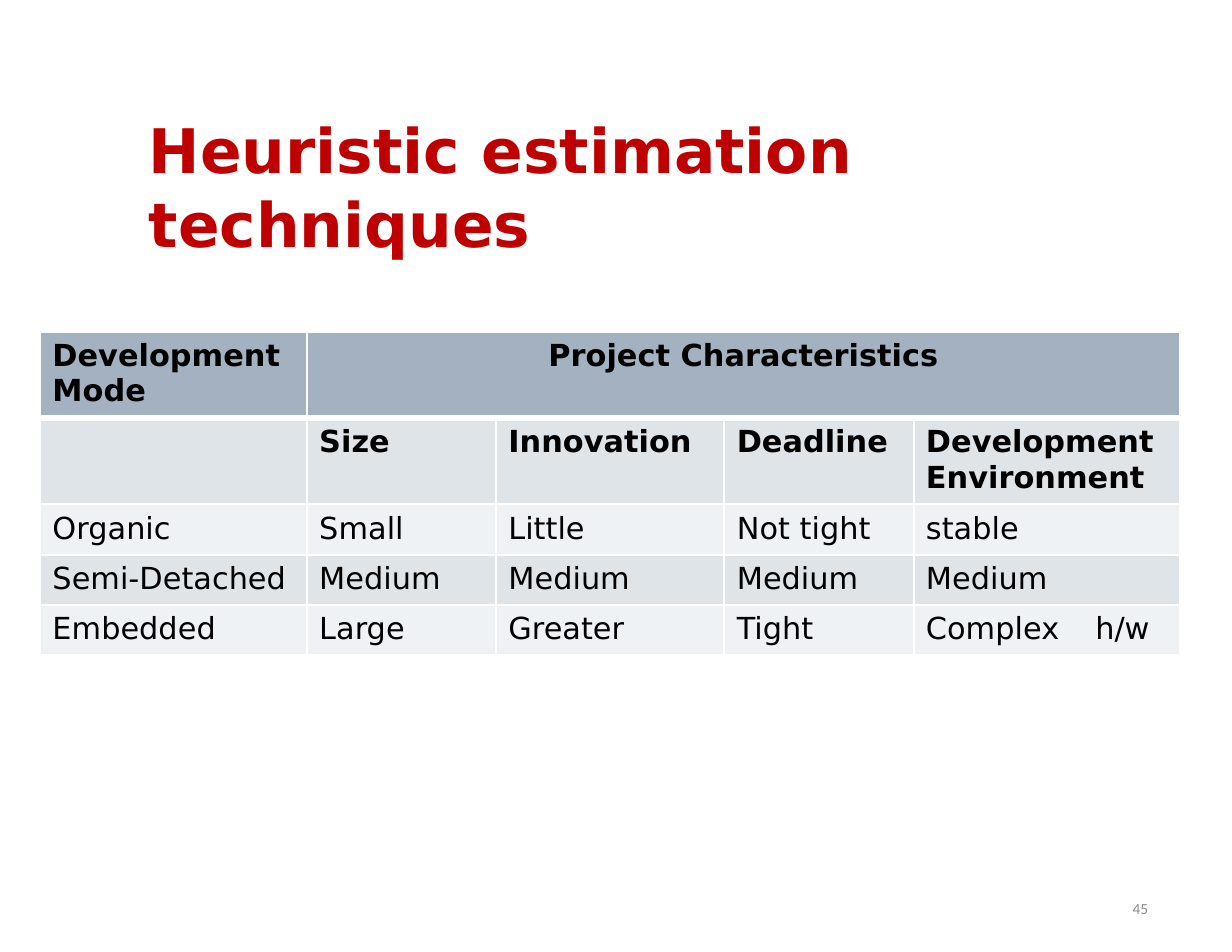
from lxml.etree import SubElement
from pptx import Presentation
from pptx.dml.color import RGBColor
from pptx.enum.text import MSO_ANCHOR, PP_ALIGN
from pptx.oxml.ns import qn
from pptx.util import Cm, Pt

COLORS = {
    "title": "BF0000",
    "text": "000000",
    "number": "8C8C8C",
    "border": "FFFFFF",
    "header": "A3B1C1",
    "dark_band": "DFE4E8",
    "light_band": "EFF2F4",
}
COLUMN_WIDTHS = [6.05, 4.29, 5.18, 4.29, 6.05]
ROW_HEIGHTS = [1.96, 1.96, 1.14, 1.14, 1.14]
ROW_FILLS = ["header", "dark_band", "light_band", "dark_band", "light_band"]
BOLD_ROWS = 2
ROWS = [
    ["Development Mode", "Project Characteristics", "", "", ""],
    ["", "Size", "Innovation", "Deadline", "Development Environment"],
    ["Organic", "Small", "Little", "Not tight", "stable"],
    ["Semi-Detached", "Medium", "Medium", "Medium", "Medium"],
    ["Embedded", "Large", "Greater", "Tight", "Complex\th/w"],
]


class SlideBuilder:
    font_name = "DejaVu Sans"
    table_size = 19.5
    tab_position = Cm(3.84)
    thin_border, thick_border = Pt(1.5), Pt(4.5)

    def __init__(self, slide):
        self.slide = slide

    def style(self, paragraph, size, color, bold=False, font_name=None):
        font = paragraph.font
        font.name = font_name or self.font_name
        font.size = Pt(size)
        font.bold = bold
        font.color.rgb = RGBColor.from_string(COLORS[color])

    def text(self, text, box, size, color, bold=False, font_name=None,
             align=PP_ALIGN.LEFT, anchor=MSO_ANCHOR.TOP, left=0, top=0):
        """Add a text box; left and top are its insets in centimetres."""
        shape = self.slide.shapes.add_textbox(*map(Cm, box))
        frame = shape.text_frame
        frame.word_wrap = True
        frame.vertical_anchor = anchor
        frame.margin_left, frame.margin_top = Cm(left), Cm(top)
        frame.margin_right = frame.margin_bottom = 0
        paragraph = frame.paragraphs[0]
        paragraph.text = text
        paragraph.alignment = align
        self.style(paragraph, size, color, bold, font_name)

    def borders(self, cell, top, bottom):
        properties = cell._tc.get_or_add_tcPr()
        widths = {"a:lnL": self.thin_border, "a:lnR": self.thin_border,
                  "a:lnT": top, "a:lnB": bottom}
        for tag, width in widths.items():
            line = SubElement(properties, qn(tag), w=str(width))
            fill = SubElement(line, qn("a:solidFill"))
            SubElement(fill, qn("a:srgbClr"), val=COLORS["border"])

    def cell(self, cell, text, row):
        self.borders(cell,
                     top=self.thick_border if row == 1 else self.thin_border,
                     bottom=self.thick_border if row == 0 else self.thin_border)
        cell.fill.solid()
        cell.fill.fore_color.rgb = RGBColor.from_string(COLORS[ROW_FILLS[row]])
        cell.margin_left, cell.margin_top = Cm(0.28), Cm(0.15)
        cell.margin_right = cell.margin_bottom = 0
        paragraph = cell.text_frame.paragraphs[0]
        paragraph.text = text
        if "\t" in text:
            tabs = SubElement(paragraph._p.get_or_add_pPr(), qn("a:tabLst"))
            SubElement(tabs, qn("a:tab"), pos=str(self.tab_position), algn="l")
        self.style(paragraph, self.table_size, "text", bold=row < BOLD_ROWS)

    def table(self, left, top):
        table = self.slide.shapes.add_table(
            len(ROWS), len(COLUMN_WIDTHS), Cm(left), Cm(top),
            Cm(sum(COLUMN_WIDTHS)), Cm(sum(ROW_HEIGHTS))).table
        table.first_row = table.horz_banding = False
        for column, width in zip(table.columns, COLUMN_WIDTHS):
            column.width = Cm(width)
        for index, (row, height) in enumerate(zip(table.rows, ROW_HEIGHTS)):
            row.height = Cm(height)
            for cell, text in zip(row.cells, ROWS[index]):
                self.cell(cell, text, index)
        group_header = table.cell(0, 1)
        group_header.merge(table.cell(0, len(COLUMN_WIDTHS) - 1))
        group_header.margin_left = 0
        group_header.text_frame.paragraphs[0].alignment = PP_ALIGN.CENTER


def main():
    presentation = Presentation()
    presentation.slide_width, presentation.slide_height = Cm(27.94), Cm(21.59)
    slide = presentation.slides.add_slide(presentation.slide_layouts[6])
    builder = SlideBuilder(slide)
    builder.text("Heuristic estimation techniques", (1.93, 1.14, 24.1, 4.17),
                 39.5, "title", bold=True, left=1.45, top=1.4)
    builder.table(0.91, 7.52)
    builder.text("45", (19.74, 20.02, 6.3, 1.14), 9.9, "number",
                 font_name="Calibri", align=PP_ALIGN.RIGHT,
                 anchor=MSO_ANCHOR.MIDDLE)
    presentation.save("out.pptx")


if __name__ == "__main__":
    main()
